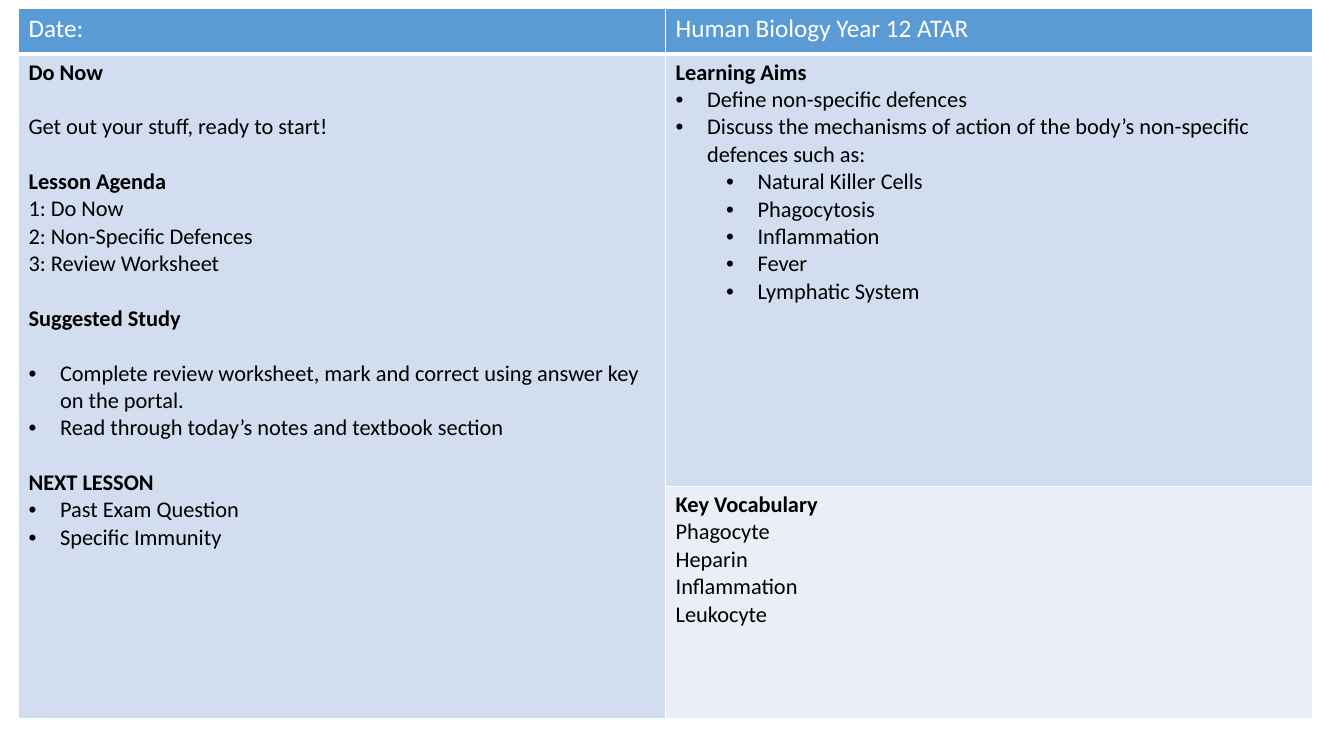
import pptx
import pptx.util
import pptx.dml.color
import pptx.oxml
import pptx.oxml.ns

Pt = pptx.util.Pt
MAIN = pptx.oxml.ns.nsdecls("a")
GAP = 19.5


def color(text):
    return pptx.dml.color.RGBColor.from_string(text)


def fill_cell(cell, lines, size, ink, back, under):
    cell.fill.solid()
    cell.fill.fore_color.rgb = color(back)
    props = cell._tc.get_or_add_tcPr()
    for spot, (side, width) in enumerate([("L", 1), ("R", 1), ("T", 1), ("B", under)]):
        props.insert(spot, pptx.oxml.parse_xml(
            f'<a:ln{side} {MAIN} w="{Pt(width)}"><a:solidFill>'
            f'<a:srgbClr val="FFFFFF"/></a:solidFill></a:ln{side}>'))
    frame = cell.text_frame
    for spot, (kind, before, text) in enumerate(lines):
        para = frame.add_paragraph() if spot else frame.paragraphs[0]
        if kind in ("dot", "sub"):
            level = 1 if kind == "sub" else 0
            para.level = level
            form = para._p.get_or_add_pPr()
            form.set("marL", str(Pt(22.5 + 36 * level)))
            form.set("indent", str(Pt(-22.5)))
            form.append(pptx.oxml.parse_xml(f'<a:buFont {MAIN} typeface="Arial"/>'))
            form.append(pptx.oxml.parse_xml(f'<a:buChar {MAIN} char="•"/>'))
        if before:
            para.space_before = Pt(before)
        run = para.add_run()
        run.text = text
        run.font.name = "Calibri"
        run.font.size = Pt(size)
        run.font.bold = kind == "head"
        run.font.color.rgb = color(ink)


deck = pptx.Presentation()
deck.slide_width = Pt(960)
deck.slide_height = Pt(540)
slide = deck.slides.add_slide(deck.slide_layouts[6])

plan = slide.shapes.add_table(3, 2, Pt(13.2), Pt(6), Pt(924.5), Pt(507.6)).table
plan.first_row = False
plan.horz_banding = False
for col in plan.columns:
    col.width = Pt(462.25)
for row, height in zip(plan.rows, [32.4, 308.9, 166.3]):
    row.height = Pt(height)
plan.cell(1, 0).merge(plan.cell(2, 0))

tasks = [
    ("head", 0, "Do Now"),
    ("plain", GAP, "Get out your stuff, ready to start!"),
    ("head", GAP, "Lesson Agenda"),
    ("plain", 0, "1: Do Now"),
    ("plain", 0, "2: Non-Specific Defences"),
    ("plain", 0, "3: Review Worksheet"),
    ("head", GAP, "Suggested Study"),
    ("dot", GAP, "Complete review worksheet, mark and correct using answer key on the portal."),
    ("dot", 0, "Read through today’s notes and textbook section"),
    ("head", GAP, "NEXT LESSON"),
    ("dot", 0, "Past Exam Question"),
    ("dot", 0, "Specific Immunity"),
]
aims = [
    ("head", 0, "Learning Aims"),
    ("dot", 0, "Define non-specific defences"),
    ("dot", 0, "Discuss the mechanisms of action of the body’s non-specific defences such as:"),
    ("sub", 0, "Natural Killer Cells"),
    ("sub", 0, "Phagocytosis"),
    ("sub", 0, "Inflammation"),
    ("sub", 0, "Fever"),
    ("sub", 0, "Lymphatic System"),
]
words = [
    ("head", 0, "Key Vocabulary"),
    ("plain", 0, "Phagocyte"),
    ("plain", 0, "Heparin"),
    ("plain", 0, "Inflammation"),
    ("plain", 0, "Leukocyte"),
]

for col, title in enumerate(["Date:", "Human Biology Year 12 ATAR"]):
    fill_cell(plan.cell(0, col), [("plain", 0, title)], 18, "FFFFFF", "5B9BD5", 3)
for row, col, lines, back in [
    (1, 0, tasks, "D2DEEF"),
    (1, 1, aims, "D2DEEF"),
    (2, 0, [], "D2DEEF"),
    (2, 1, words, "EAEFF7"),
]:
    fill_cell(plan.cell(row, col), lines, 16, "000000", back, 1)

deck.save("out.pptx")
